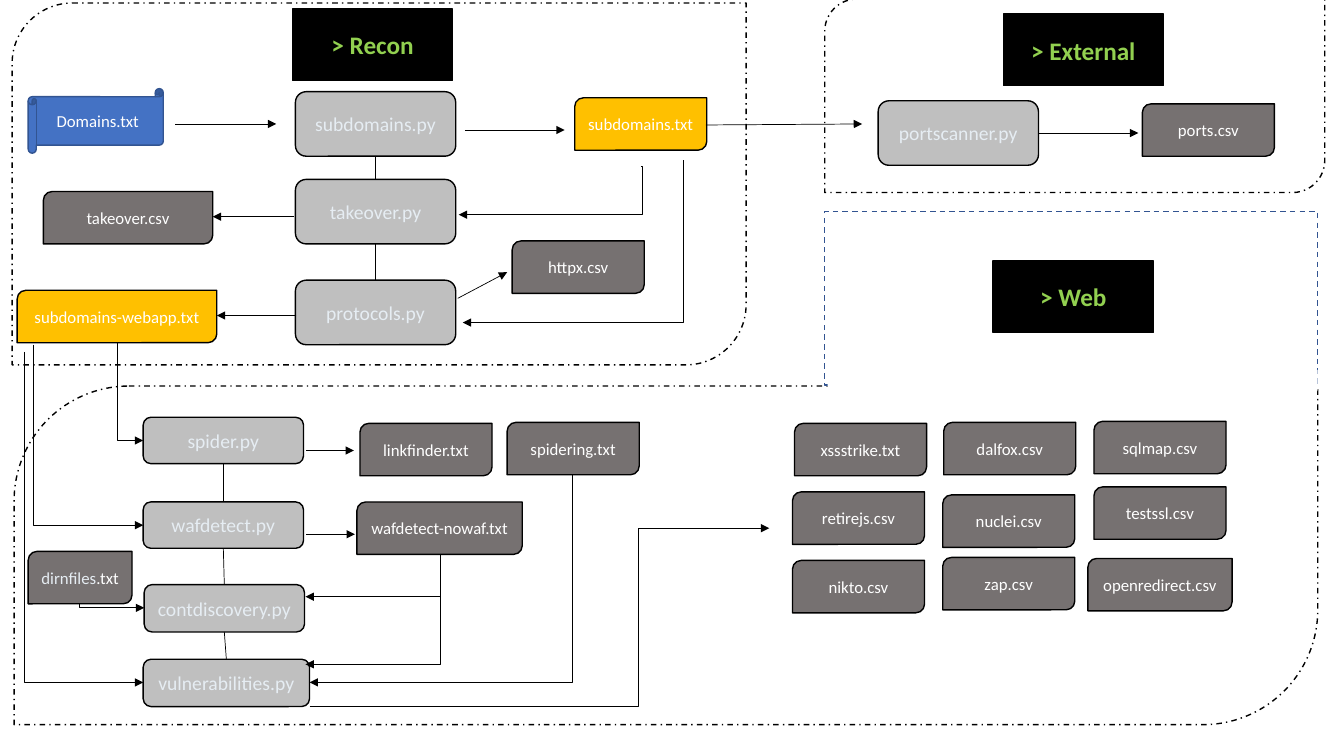
"""Build a slide that maps the recon, external and web scanning workflow."""
from lxml import etree
from pptx import Presentation
from pptx.dml.color import RGBColor
from pptx.enum.dml import MSO_LINE
from pptx.enum.shapes import MSO_CONNECTOR, MSO_SHAPE
from pptx.enum.text import MSO_ANCHOR, PP_ALIGN
from pptx.oxml.ns import qn
from pptx.util import Pt

PX = 9144
FONT = "Calibri"
BLACK = RGBColor(0x00, 0x00, 0x00)
WHITE = RGBColor(0xFF, 0xFF, 0xFF)
GREEN = RGBColor(0x92, 0xD0, 0x50)
SILVER = RGBColor(0xBF, 0xBF, 0xBF)
GREY = RGBColor(0x76, 0x71, 0x71)
PALE = RGBColor(0xE6, 0xED, 0xF3)
AMBER = RGBColor(0xFF, 0xC0, 0x00)
BLUE = RGBColor(0x44, 0x72, 0xC4)
NAVY = RGBColor(0x32, 0x54, 0x91)
RECT, ROUND = MSO_SHAPE.RECTANGLE, MSO_SHAPE.ROUNDED_RECTANGLE
DIAG, SCROLL = MSO_SHAPE.ROUND_2_DIAG_RECTANGLE, MSO_SHAPE.HORIZONTAL_SCROLL
STRAIGHT, ELBOW = MSO_CONNECTOR.STRAIGHT, MSO_CONNECTOR.ELBOW
DASH, DASH_DOT = MSO_LINE.DASH, MSO_LINE.DASH_DOT
CENTER, MIDDLE = PP_ALIGN.CENTER, MSO_ANCHOR.MIDDLE
TOP, BOTTOM, RIGHT = 0, 2, 3

# kind: geometry, fill, line, dash, font values
KINDS = {
    "region": (DIAG, None, BLACK, DASH_DOT, {}),
    "web": (RECT, None, NAVY, DASH, {}),
    "mask": (DIAG, WHITE, None, None, {}),
    "heading": (RECT, BLACK, BLACK, None, {"size": Pt(18), "bold": True, "color": GREEN}),
    "script": (ROUND, SILVER, BLACK, None, {"size": Pt(14), "color": PALE}),
    "input": (SCROLL, BLUE, NAVY, None, {"size": Pt(12), "color": WHITE}),
    "hosts": (DIAG, AMBER, BLACK, None, {"size": Pt(12), "color": WHITE}),
    "output": (DIAG, GREY, BLACK, None, {"size": Pt(12), "color": WHITE}),
}
REGIONS = [
    ("region", 12, 3, 728, 359, None),
    ("region", 818, -1, 496, 192, None),
    ("region", 14, 383, 1293, 336, 0.339),
    ("web", 818, 210, 489, 172, None),
    ("mask", 821, 367, 486, 23, None),
]
HEADINGS = [("> Recon", 290, 9), ("> External", 995, 14), ("> Web", 985, 259)]
SCRIPTS = [
    ("subdomains.py", 293, 91, 159, 64),
    ("takeover.py", 293, 178, 159, 64),
    ("protocols.py", 293, 278, 159, 64),
    ("portscanner.py", 871, 100, 159, 64),
    ("spider.py", 142, 414, 159, 46),
    ("wafdetect.py", 142, 498, 159, 46),
    ("contdiscovery.py", 143, 580, 159, 47),
    ("vulnerabilities.py", 142, 654, 165, 47),
]
FILES = [
    ("input", "Domains.txt", 28, 88, 134, 64),
    ("hosts", "subdomains.txt", 570, 97, 131, 52),
    ("hosts", "subdomains-webapp.txt", 17, 288, 198, 52),
    ("output", "takeover.csv", 43, 190, 168, 52),
    ("output", "httpx.csv", 508, 239, 131, 52),
    ("output", "ports.csv", 1133, 103, 131, 52),
    ("output", "linkfinder.txt", 357, 420, 131, 52),
    ("output", "spidering.txt", 503, 419, 131, 52),
    ("output", "wafdetect-nowaf.txt", 354, 498, 164, 52),
    ("output", "dirnfiles.txt", 28, 547, 103, 52),
    ("output", "xssstrike.txt", 788, 420, 131, 52),
    ("output", "dalfox.csv", 936, 419, 131, 52),
    ("output", "sqlmap.csv", 1085, 418, 131, 52),
    ("output", "retirejs.csv", 786, 488, 131, 52),
    ("output", "nuclei.csv", 935, 491, 131, 52),
    ("output", "testssl.csv", 1085, 483, 131, 52),
    ("output", "nikto.csv", 786, 556, 131, 52),
    ("output", "zap.csv", 935, 553, 131, 52),
    ("output", "openredirect.csv", 1079, 554, 143, 52),
]
PALE_STEMS = {"dirnfiles.txt": "dirnfiles"}
CHAINS = [
    ("subdomains.py", "takeover.py", "protocols.py"),
    ("spider.py", "wafdetect.py", "contdiscovery.py", "vulnerabilities.py"),
]
ARROWS = [
    (174, 123, 274, 123), (461, 129, 560, 129), (700, 124, 855, 123),
    (292, 215, 211, 215), (294, 313, 215, 313), (454, 296, 503, 270),
    (304, 447, 351, 447), (304, 530, 352, 530),
]
DROPS = [
    (116, 340, 142, 437), (33, 342, 142, 521), (24, 349, 142, 677),
    (79, 599, 143, 603), (437, 550, 303, 592), (437, 550, 303, 659),
    (568, 471, 307, 677),
]
DETOURS = [
    (678, 159, 459, 320, 0.002),
    (636, 165, 455, 213, -0.008),
    (307, 701, 763, 524, 0.715),
]


def add_text(sp, text, font):
    tf = sp.text_frame
    tf.word_wrap, tf.vertical_anchor = True, MIDDLE
    p = tf.paragraphs[0]
    p.alignment = CENTER
    stem = PALE_STEMS.get(text, "")
    for part, color in ((stem, PALE), (text[len(stem):], font["color"])):
        if part:
            r = p.add_run()
            r.text = part
            for name, value in {**font, "name": FONT}.items():
                if name != "color":
                    setattr(r.font, name, value)
            r.font.color.rgb = color


def add_box(slide, kind, x, y, w, h, text=None, corner=None):
    shape, fill, line, dash, font = KINDS[kind]
    sp = slide.shapes.add_shape(shape, x * PX, y * PX, w * PX, h * PX)
    sp.shadow.inherit = False
    for part, color in ((sp.fill, fill), (sp.line.fill, line)):
        if color is None:
            part.background()
        else:
            part.solid()
            part.fore_color.rgb = color
    if line is not None:
        sp.line.width = Pt(1)
    if dash:
        sp.line.dash_style = dash
    if corner:
        sp.adjustments[0] = corner
    if text:
        add_text(sp, text, font)
    return sp


def add_line(slide, kind, x1, y1, x2, y2, arrow=True):
    cxn = slide.shapes.add_connector(kind, *(round(v * PX) for v in (x1, y1, x2, y2)))
    cxn.line.color.rgb = BLACK
    cxn.line.width = Pt(0.5)
    if arrow:
        etree.SubElement(cxn.line._get_or_add_ln(), qn("a:tailEnd"), type="triangle")
    etree.SubElement(cxn._element.spPr, qn("a:effectLst"))
    return cxn


def add_drop(slide, x1, y1, x2, y2):
    cx, cy = (x1 + x2) / 2, (y1 + y2) / 2
    half_w, half_h = abs(y2 - y1) / 2, abs(x2 - x1) / 2
    cxn = add_line(slide, ELBOW, cx - half_w, cy - half_h, cx + half_w, cy + half_h)
    spPr = cxn._element.spPr
    spPr.find(qn("a:prstGeom")).set("prst", "bentConnector2")
    xfrm = spPr.find(qn("a:xfrm"))
    xfrm.set("rot", str((270 if x2 > x1 else 90) * 60000))
    if x2 > x1:
        xfrm.set("flipH", "1")


def add_detour(slide, x1, y1, x2, y2, bend):
    cxn = add_line(slide, ELBOW, x1, y1, x2, y2)
    avLst = cxn._element.spPr.find(qn("a:prstGeom")).find(qn("a:avLst"))
    etree.SubElement(avLst, qn("a:gd"), name="adj1", fmla=f"val {round(bend * 100000)}")


def main():
    prs = Presentation()
    prs.slide_width, prs.slide_height = 1333 * PX, 750 * PX
    slide = prs.slides.add_slide(prs.slide_layouts[6])
    for kind, x, y, w, h, corner in REGIONS:
        add_box(slide, kind, x, y, w, h, corner=corner)
    for text, x, y in HEADINGS:
        add_box(slide, "heading", x, y, 159, 71, text)
    scripts = {text: add_box(slide, "script", *box, text) for text, *box in SCRIPTS}
    for kind, text, *box in FILES:
        add_box(slide, kind, *box, text)
    for chain in CHAINS:
        for upper, lower in zip(chain, chain[1:]):
            cxn = add_line(slide, STRAIGHT, 0, 0, 0, 0, arrow=False)
            cxn.begin_connect(scripts[upper], BOTTOM)
            cxn.end_connect(scripts[lower], TOP)
    for ends in ARROWS:
        add_line(slide, STRAIGHT, *ends)
    scan = add_line(slide, STRAIGHT, 1030, 132, 1129, 132)
    scan.begin_connect(scripts["portscanner.py"], RIGHT)
    for ends in DROPS:
        add_drop(slide, *ends)
    for detour in DETOURS:
        add_detour(slide, *detour)
    prs.save("out.pptx")


if __name__ == "__main__":
    main()
